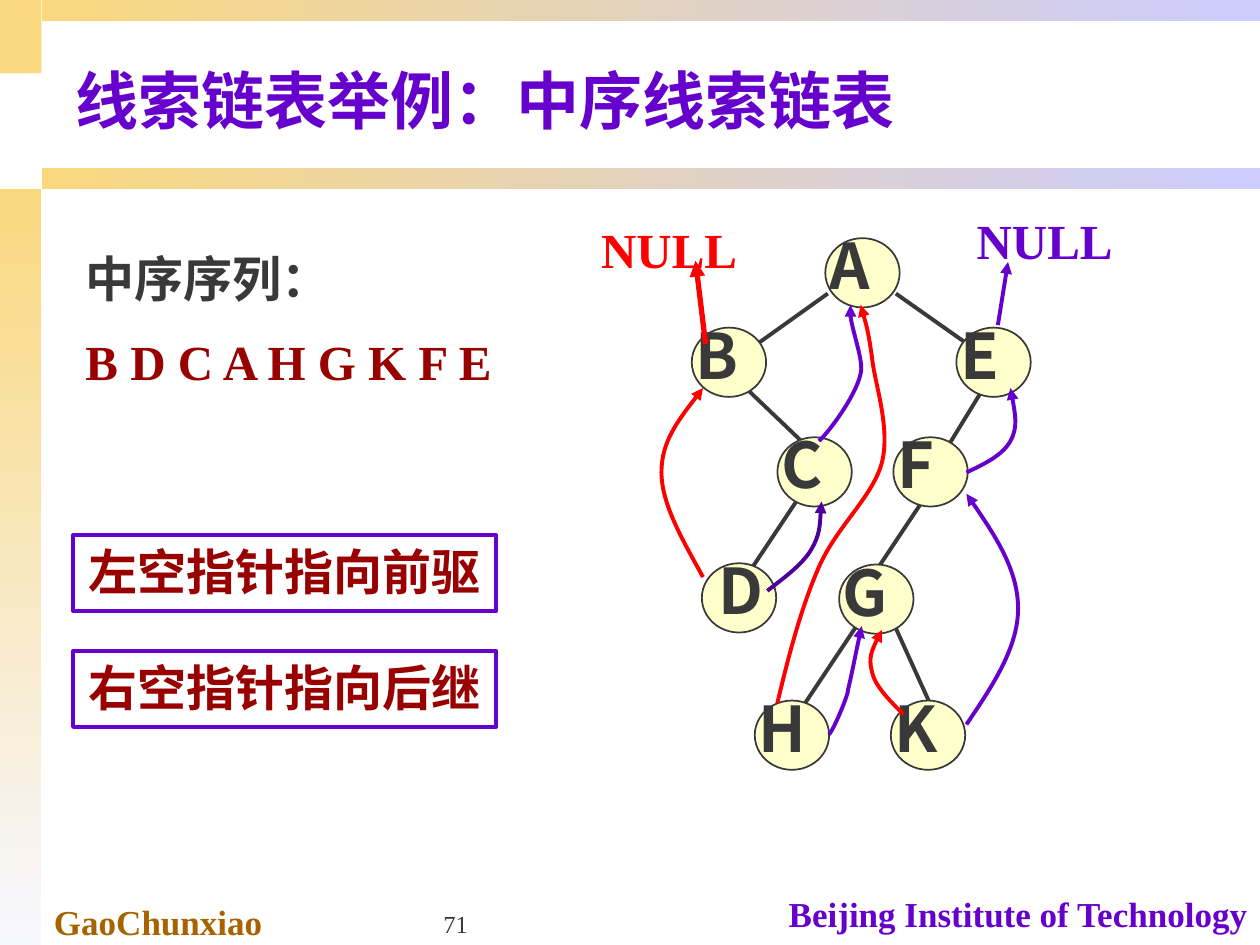
from dataclasses import dataclass

from lxml.etree import SubElement
from pptx import Presentation
from pptx.dml.color import RGBColor
from pptx.enum.shapes import MSO_CONNECTOR as Connector, MSO_SHAPE as Preset
from pptx.enum.text import MSO_ANCHOR as Anchor, PP_ALIGN as Align
from pptx.oxml.ns import qn
from pptx.util import Inches, Pt

SERIF, SANS = "Times New Roman", "Noto Sans CJK SC"
INK, PURPLE, RED, MAROON = "393939", "6600CC", "FF0000", "990000"
GOLD, LAVENDER, CREAM = "F9D87E", "CCCCFF", "FFFFCC"
NODE_WIDTH, NODE_HEIGHT = 0.59, 0.55

Point = tuple[float, float]


@dataclass
class Node:
    letter: str
    left: float
    top: float
    centred: bool = False


@dataclass
class Line:
    start: Point
    end: Point
    color: str = INK
    width: float = 2.25
    arrow: bool = False


@dataclass
class Thread:
    """Bezier curve: a start, then two control points and an end per segment."""
    color: str
    points: list[Point]


@dataclass
class Label:
    text: str
    left: float
    top: float
    width: float
    height: float
    size: float
    color: str
    font: str = SERIF
    bold: bool = True
    align: Align = Align.LEFT
    anchor: Anchor = Anchor.TOP
    wrap: bool = True
    margin_left: float = 0.1
    margin_top: float = 0.05


def rgb(color: str) -> RGBColor:
    return RGBColor.from_string(color)


def style_paragraph(paragraph, label: Label, color: str) -> None:
    paragraph.alignment = label.align
    font = paragraph.font
    font.name, font.size, font.bold = label.font, Pt(label.size), label.bold
    font.color.rgb = rgb(color)


def add_label(slide, label: Label):
    box = slide.shapes.add_textbox(*map(Inches, (label.left, label.top, label.width, label.height)))
    frame = box.text_frame
    frame.word_wrap = label.wrap
    frame.vertical_anchor = label.anchor
    frame.margin_left, frame.margin_top = Inches(label.margin_left), Inches(label.margin_top)
    frame.text = label.text
    style_paragraph(frame.paragraphs[0], label, label.color)
    return box


def add_band(slide, place: tuple, end_color: str = GOLD, angle: int = 0) -> None:
    band = slide.shapes.add_shape(Preset.RECTANGLE, *map(Inches, place))
    band.shadow.inherit = False
    band.line.fill.background()
    if end_color == GOLD:
        band.fill.solid()
        band.fill.fore_color.rgb = rgb(GOLD)
        return
    band.fill.gradient()
    band.fill.gradient_angle = angle
    for stop, color in zip(band.fill.gradient_stops, (GOLD, end_color)):
        stop.color.rgb = rgb(color)


def style_line(shape, color: str, width: float, arrow: bool) -> None:
    shape.line.color.rgb = rgb(color)
    shape.line.width = Pt(width)
    if arrow:
        SubElement(shape.line._get_or_add_ln(), qn("a:tailEnd"), type="triangle")


def add_line(slide, line: Line) -> None:
    connector = slide.shapes.add_connector(
        Connector.STRAIGHT, *map(Inches, (*line.start, *line.end)))
    style_line(connector, line.color, line.width, line.arrow)
    SubElement(connector._element.spPr, qn("a:effectLst"))


def add_node(slide, node: Node) -> None:
    circle = slide.shapes.add_shape(
        Preset.OVAL, *map(Inches, (node.left, node.top, NODE_WIDTH, NODE_HEIGHT)))
    circle.shadow.inherit = False
    circle.fill.solid()
    circle.fill.fore_color.rgb = rgb(CREAM)
    style_line(circle, INK, 1, False)
    offset, width = (0.32, 1.26) if node.centred else (0.15, 1.06)
    add_label(slide, Label(
        node.letter, node.left - offset, node.top - 0.14, width, 0.7, 36, INK, SANS,
        align=Align.CENTER if node.centred else Align.LEFT,
        margin_left=0.1 if node.centred else 0.18))


def add_thread(slide, thread: Thread) -> None:
    start, *rest = [(Inches(x), Inches(y)) for x, y in thread.points]
    builder = slide.shapes.build_freeform(*start)
    builder.add_line_segments(rest, close=False)
    curve = builder.convert_to_shape()
    curve.shadow.inherit = False
    curve.fill.background()
    style_line(curve, thread.color, 2.25, True)
    # Turn every three straight segments into one Bezier segment
    path = next(curve._element.iter(qn("a:path")))
    segments = path.findall(qn("a:lnTo"))
    for index in range(0, len(segments), 3):
        bezier = SubElement(path, qn("a:cubicBezTo"))
        for segment in segments[index:index + 3]:
            bezier.append(segment[0])
            path.remove(segment)


EDGES = [
    Line((7.42, 3.83), (6.92, 4.58)), Line((7.08, 4.92), (7.42, 5.67)),
    Line((6.83, 4.92), (6.33, 5.67)), Line((6.36, 3.92), (5.92, 4.58)),
    Line((6.57, 2.33), (5.87, 2.83)), Line((7.11, 2.33), (7.82, 2.83)),
    Line((5.93, 3.09), (6.37, 3.51)), Line((7.8, 3.09), (7.5, 3.58)),
]
NODES = [
    Node("D", 5.57, 4.47, centred=True), Node("A", 6.55, 1.89), Node("F", 7.09, 3.47),
    Node("C", 6.17, 3.47), Node("E", 7.59, 2.6), Node("B", 5.49, 2.6),
    Node("G", 6.66, 4.48), Node("H", 5.99, 5.56), Node("K", 7.07, 5.56),
]
NULL_ARROWS = [
    Line((5.6, 2.73), (5.52, 2.07), RED, 3, True),
    Line((7.92, 2.58), (8, 2.08), PURPLE, 2.25, True),
]
THREADS = [
    Thread(RED, [(5.58, 4.58), (5.42, 4.29), (5.25, 4), (5.25, 3.75),
                 (5.25, 3.5), (5.42, 3.29), (5.58, 3.08)]),
    Thread(RED, [(6.17, 5.58), (6.26, 5.2), (6.36, 4.82), (6.5, 4.5),
                 (6.64, 4.18), (6.93, 3.94), (7, 3.67), (7.07, 3.39), (6.94, 3.04),
                 (6.92, 2.83), (6.89, 2.62), (6.86, 2.52), (6.83, 2.42)]),
    Thread(RED, [(7.17, 5.67), (7.06, 5.56), (6.94, 5.44), (6.92, 5.33),
                 (6.89, 5.22), (6.94, 5.11), (7, 5)]),
    Thread(PURPLE, [(6.5, 3.5), (6.57, 3.44), (6.79, 3.15), (6.83, 2.97),
                    (6.86, 2.88), (6.72, 2.51), (6.75, 2.42)]),
    Thread(PURPLE, [(6.58, 5.83), (6.63, 5.77), (6.74, 5.49), (6.73, 5.48),
                    (6.77, 5.31), (6.8, 5.14), (6.84, 4.97)]),
    Thread(PURPLE, [(7.67, 5.75), (7.88, 5.44), (8.08, 5.14), (8.08, 4.83),
                    (8.08, 4.53), (7.88, 4.22), (7.67, 3.92)]),
    Thread(PURPLE, [(7.67, 3.75), (7.82, 3.68), (7.96, 3.61), (8.02, 3.5),
                    (8.08, 3.39), (8.05, 3.24), (8.02, 3.08)]),
    Thread("4C0099", [(6.09, 4.69), (6.23, 4.58), (6.37, 4.48), (6.44, 4.36),
                      (6.51, 4.24), (6.51, 4.11), (6.52, 3.98)]),
]
LABELS = [
    Label("GaoChunxiao", 0.33, 7.07, 3.5, 0.44, 20, "A66300", margin_top=0.08),
    Label("Beijing Institute of Technology", 6.08, 7, 3.92, 0.43, 20, PURPLE,
          align=Align.RIGHT, margin_top=0.08),
    Label("71", 3.42, 7, 2.08, 0.5, 14, INK, bold=False, anchor=Anchor.BOTTOM),
    Label("线索链表举例：中序线索链表", 0.5, 0.25, 9.5, 1.07, 36, PURPLE, anchor=Anchor.MIDDLE),
    Label("NULL", 4.6, 1.65, 1.42, 0.57, 28, RED, align=Align.CENTER, margin_top=0.09),
    Label("NULL", 7.58, 1.58, 1.42, 0.57, 28, PURPLE, align=Align.CENTER, margin_top=0.09),
]
RULES = [("左空指针指向前驱", 4.25), ("右空指针指向后继", 5.17)]


def main() -> None:
    presentation = Presentation()
    presentation.slide_width, presentation.slide_height = Inches(10), Inches(7.5)
    slide = presentation.slides.add_slide(presentation.slide_layouts[6])

    # Frame bands
    add_band(slide, (0, 0, 0.33, 0.58))
    add_band(slide, (0, 1.5, 0.33, 6), "F7F7FF", 270)
    for top in (1.33, 0):
        add_band(slide, (0.33, top, 9.67, 0.17), LAVENDER)

    # Tree
    for edge in EDGES:
        add_line(slide, edge)
    for node in NODES:
        add_node(slide, node)

    # Title, footer and NULL labels
    for label in LABELS:
        add_label(slide, label)

    # Inorder sequence
    sequence = Label("中序序列：", 0.58, 1.92, 3.48, 1.27, 28, INK, wrap=False)
    letters = add_label(slide, sequence).text_frame.add_paragraph()
    letters.text = "B D C A H G K F E"
    letters.space_before = Pt(14)
    style_paragraph(letters, sequence, MAROON)

    # Boxed rules
    for text, top in RULES:
        box = add_label(slide, Label(text, 0.58, top, 3.36, 0.6, 28, MAROON,
                                     align=Align.CENTER, wrap=False))
        style_line(box, PURPLE, 2.25, False)

    # Threads
    for arrow in NULL_ARROWS:
        add_line(slide, arrow)
    for thread in THREADS:
        add_thread(slide, thread)

    presentation.save("out.pptx")


if __name__ == "__main__":
    main()
